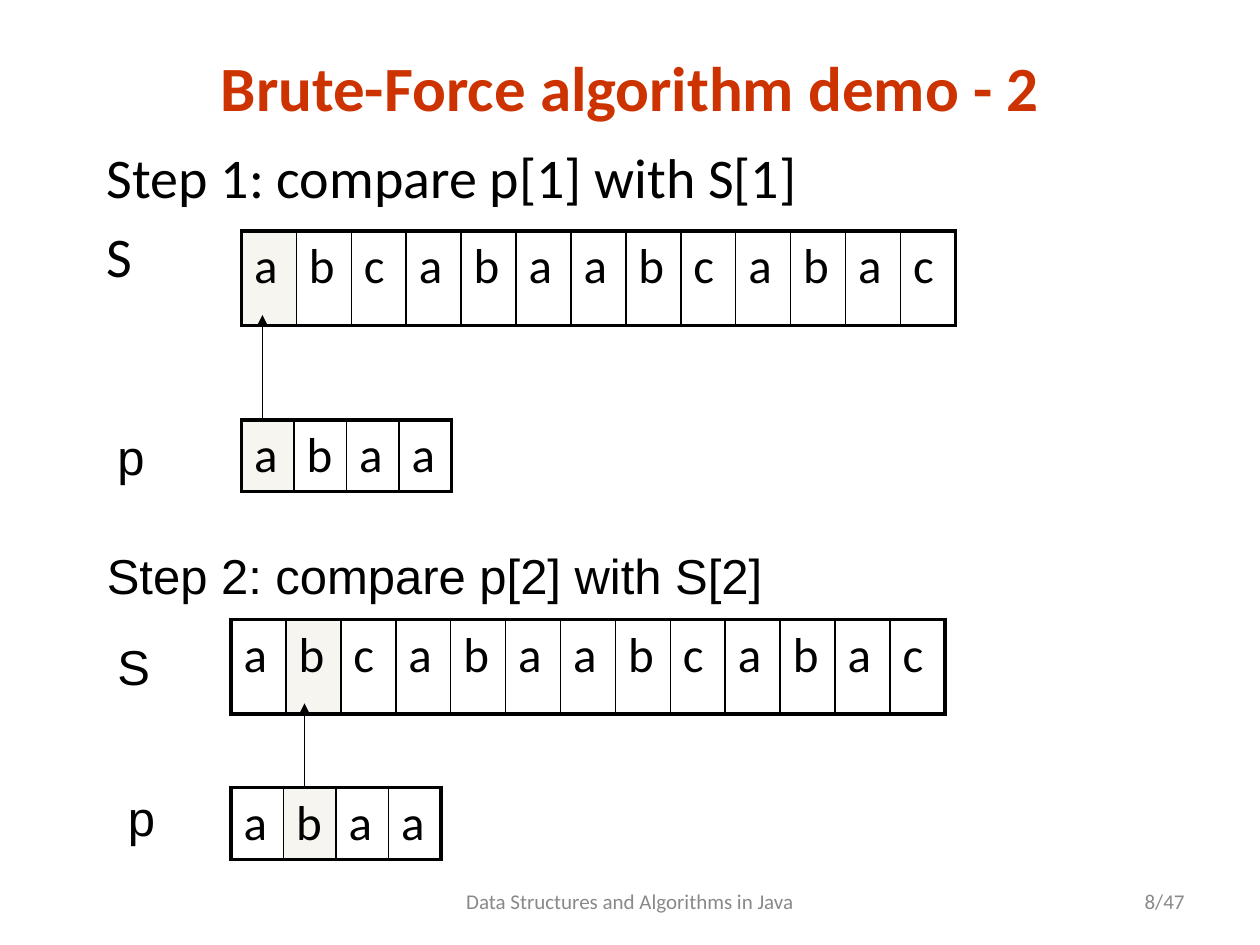
from lxml import etree
from pptx import Presentation
from pptx.dml.color import RGBColor
from pptx.enum import shapes, text
from pptx.oxml import ns
from pptx.util import Pt


def paint(value):
    return RGBColor.from_string(value)


def write(para, words, size, font="Calibri", color="000000", bold=False):
    span = para.add_run()
    span.text = words
    span.font.size = Pt(size)
    span.font.name = font
    span.font.bold = bold
    span.font.color.rgb = paint(color)


deck = Presentation()
deck.slide_width, deck.slide_height = Pt(720), Pt(540)
page = deck.slides.add_slide(deck.slide_layouts[6])

left, center, right = text.PP_ALIGN.LEFT, text.PP_ALIGN.CENTER, text.PP_ALIGN.RIGHT
top, middle = text.MSO_ANCHOR.TOP, text.MSO_ANCHOR.MIDDLE
labels = [
    (246, 500.5, 228, 29, ["Data Structures and Algorithms in Java"], 12, "Calibri", "898989", center, middle),
    (516, 500.5, 168, 29, ["8/47"], 12, "Calibri", "898989", right, middle),
    (54, 78, 618, 426, ["Step 1: compare p[1] with S[1]", "S"], 32, "Calibri", "000000", left, top),
    (60, 240, 30, 41, ["p"], 28, "Arial", "000000", left, top),
    (54, 308, 390, 41, ["Step 2: compare p[2] with S[2]"], 28, "Arial", "000000", left, top),
    (60, 360, 33, 41, ["S"], 28, "Arial", "000000", left, top),
    (66, 446.5, 30, 41, ["p"], 28, "Arial", "000000", left, top),
    (36, 24, 648, 50.5, ["Brute-Force algorithm demo - 2"], 36, "Calibri", "CC3300", center, middle),
]
for x, y, width, height, lines, size, font, color, align, anchor in labels:
    box = page.shapes.add_textbox(Pt(x), Pt(y), Pt(width), Pt(height))
    frame = box.text_frame
    frame.word_wrap = font == "Calibri"
    frame.vertical_anchor = anchor
    for index, line in enumerate(lines):
        para = frame.add_paragraph() if index else frame.paragraphs[0]
        para.alignment = align
        if len(lines) > 1:
            para.space_before = Pt(6.4)
        write(para, line, size, font, color, bold=size == 36)

arrays = [
    ("abcabaabcabac", 138, 132, 408, 54, 0),
    ("abaa", 138, 240, 120, 41, 0),
    ("abcabaabcabac", 132, 354, 408, 54, 1),
    ("abaa", 132, 450, 120, 41, 1),
]
for letters, x, y, width, height, compared in arrays:
    count = len(letters)
    table = page.shapes.add_table(1, count, Pt(x), Pt(y), Pt(width), Pt(height)).table
    table.first_row = table.horz_banding = False
    table.rows[0].height = Pt(height)
    for index, letter in enumerate(letters):
        table.columns[index].width = Pt(width / count)
        cell = table.cell(0, index)
        para = cell.text_frame.paragraphs[0]
        para.space_before = Pt(5.6)
        write(para, letter, 28)
        properties = cell._tc.get_or_add_tcPr()
        weights = {
            "L": 1 if index else 2.25,
            "R": 1 if index < count - 1 else 2.25,
            "T": 2.25,
            "B": 2.25,
        }
        for side, weight in weights.items():
            border = etree.SubElement(properties, ns.qn(f"a:ln{side}"), w=str(Pt(weight)))
            solid = etree.SubElement(border, ns.qn("a:solidFill"))
            etree.SubElement(solid, ns.qn("a:srgbClr"), val="000000")
        if index == compared:
            cell.fill.solid()
            cell.fill.fore_color.rgb = paint("EEECE1")
            shade = properties.find(ns.qn("a:solidFill")).find(ns.qn("a:srgbClr"))
            etree.SubElement(shade, ns.qn("a:alpha"), val="50000")
        else:
            cell.fill.background()

for x, start, end in [(150, 240, 180), (174, 450, 402)]:
    arrow = page.shapes.add_connector(shapes.MSO_CONNECTOR.STRAIGHT, Pt(x), Pt(start), Pt(x), Pt(end))
    arrow.line.color.rgb = paint("000000")
    arrow.line.width = Pt(0.75)
    etree.SubElement(arrow.line._get_or_add_ln(), ns.qn("a:tailEnd"), type="triangle")
    etree.SubElement(arrow._element.spPr, ns.qn("a:effectLst"))

deck.save("out.pptx")
